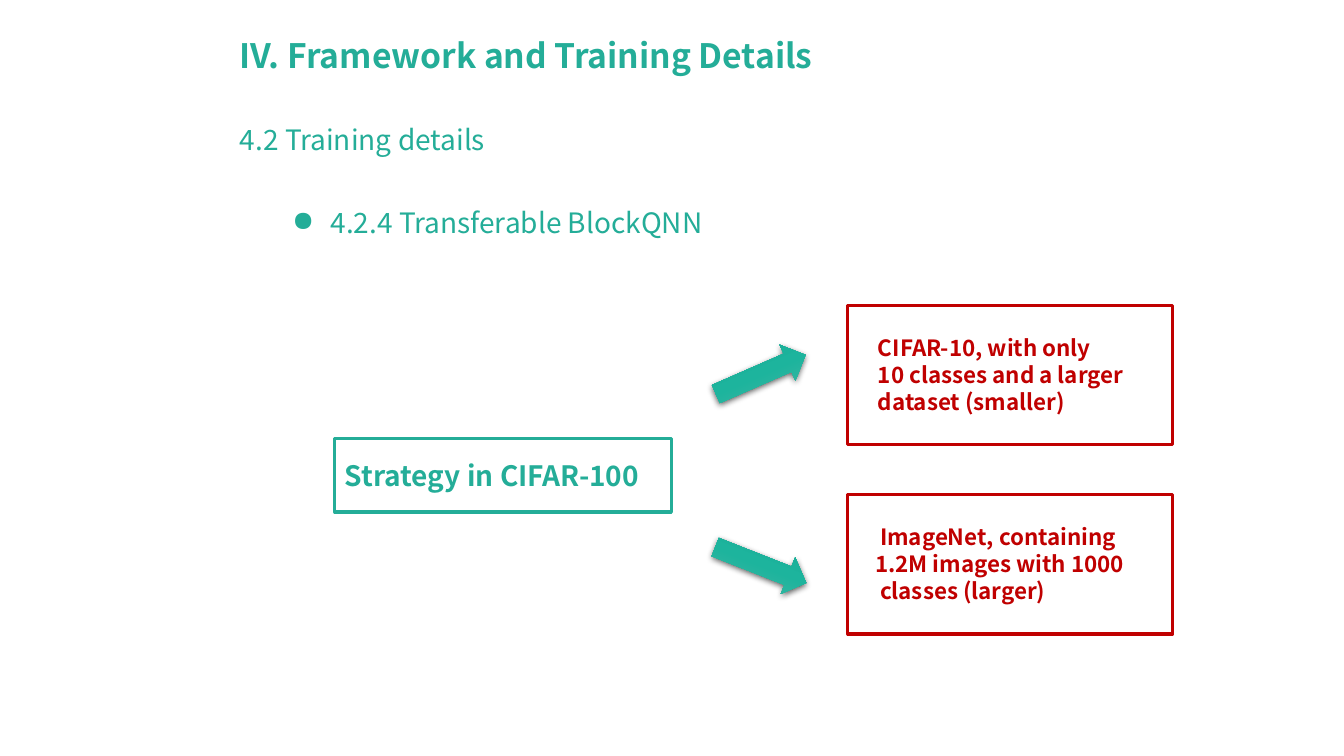
from lxml import etree
from pptx import Presentation
from pptx.dml.color import RGBColor
from pptx.enum.shapes import MSO_SHAPE
from pptx.enum.text import MSO_ANCHOR
from pptx.oxml import parse_xml
from pptx.oxml.ns import nsdecls, qn
from pptx.util import Inches, Pt

RECTANGLE = MSO_SHAPE.RECTANGLE
LEFT_ARROW = MSO_SHAPE.LEFT_ARROW
TOP = MSO_ANCHOR.TOP
MIDDLE = MSO_ANCHOR.MIDDLE

TEAL = RGBColor(0x24, 0xAD, 0x98)
RED = RGBColor(0xC0, 0x00, 0x00)
ARROW_STOPS = (
    (0, RGBColor(0x50, 0xB8, 0xA5)),
    (50, RGBColor(0x1D, 0xB4, 0x9D)),
    (100, RGBColor(0x14, 0xA6, 0x90)),
)
FONT = "Noto Sans CJK SC"
HEADING_HEIGHT = 0.58


def add_text(slide, box, lines, size, color, bold=False, anchor=TOP):
    frame = slide.shapes.add_textbox(*map(Inches, box)).text_frame
    frame.word_wrap = True
    frame.vertical_anchor = anchor
    for index, (text, indent) in enumerate(lines):
        paragraph = frame.paragraphs[0] if index == 0 else frame.add_paragraph()
        if indent:
            paragraph._p.get_or_add_pPr().set("marL", str(Inches(indent)))
        run = paragraph.add_run()
        run.text = text
        run.font.name = FONT
        run.font.size = Pt(size)
        run.font.bold = bold
        run.font.color.rgb = color
    return frame


def add_heading(slide, left, top, width, text, size=20, bold=False, bullet=False):
    box = (left, top, width, HEADING_HEIGHT)
    frame = add_text(slide, box, [(text, 0)], size, TEAL, bold, MIDDLE)
    paragraph = frame.paragraphs[0]
    paragraph.line_spacing = 0.9
    if bullet:
        properties = paragraph._p.get_or_add_pPr()
        properties.set("marL", str(Inches(0.38)))
        properties.set("indent", str(Inches(-0.38)))
        etree.SubElement(properties, qn("a:buChar"), char="●")


def add_headings(slide, left, top, step):
    add_heading(slide, left, top, 6.16, "IV. Framework and Training Details", 24, True)
    add_heading(slide, left, top + step, 6.92, "4.2 Training details")
    add_heading(slide, left + 0.52, top + 2 * step, 4.48,
                "4.2.4 Transferable BlockQNN", bullet=True)


def add_framed_text(slide, box, inset, text_size, lines, size, color):
    left, top, width, height = box
    frame = slide.shapes.add_shape(RECTANGLE, *map(Inches, box))
    frame.shadow.inherit = False
    frame.fill.background()
    frame.line.color.rgb = color
    frame.line.width = Pt(2.25)
    text_width, text_height = text_size
    text_top = top + (height - text_height) / 2
    text_box = (left + inset, text_top, text_width, text_height)
    add_text(slide, text_box, lines, size, color, bold=True)


def add_arrow(slide, box, rotation):
    arrow = slide.shapes.add_shape(LEFT_ARROW, *map(Inches, box))
    arrow.rotation = rotation
    arrow.line.fill.background()
    stops = "".join(
        f'<a:gs pos="{position * 1000}"><a:srgbClr val="{color}"/></a:gs>'
        for position, color in ARROW_STOPS
    )
    gradient = parse_xml(
        f'<a:gradFill {nsdecls("a")} rotWithShape="1"><a:gsLst>{stops}</a:gsLst>'
        '<a:lin ang="5400000" scaled="0"/></a:gradFill>'
    )
    shadow = parse_xml(
        f'<a:effectLst {nsdecls("a")}><a:outerShdw blurRad="{Pt(4.5)}" '
        f'dist="{Pt(1.5)}" dir="5400000" algn="ctr" rotWithShape="0">'
        '<a:srgbClr val="000000"><a:alpha val="63000"/></a:srgbClr>'
        "</a:outerShdw></a:effectLst>"
    )
    properties = arrow._element.spPr
    properties.find(qn("a:prstGeom")).addnext(gradient)
    properties.find(qn("a:ln")).addnext(shadow)


def add_strategy_diagram(slide, left, top):
    add_framed_text(slide, (left, top + 1.32, 3.34, 0.73), 0, (3.33, 0.44),
                    [("Strategy in CIFAR-100", 0)], 20, TEAL)
    targets = (
        (0, 0.2, 2.86, (("CIFAR-10, with only", 0),
                        ("10 classes and a larger dataset (smaller)", 0))),
        (1.88, 0.17, 2.92, (("ImageNet, containing", 0.05),
                            ("1.2M images with 1000", 0),
                            ("classes (larger)", 0.05))),
    )
    for offset, inset, text_width, lines in targets:
        add_framed_text(slide, (left + 5.09, top + offset, 3.22, 1.38), inset,
                        (text_width, 0.91), lines, 16, RED)
    for offset, rotation in ((0.49, 156.4), (2.38, 201.5)):
        add_arrow(slide, (left + 3.74, top + offset, 0.97, 0.39), rotation)


def main():
    presentation = Presentation()
    presentation.slide_width = Inches(13.33)
    presentation.slide_height = Inches(7.5)
    slide = presentation.slides.add_slide(presentation.slide_layouts[6])
    add_headings(slide, 2.28, 0.28, 0.83)
    add_strategy_diagram(slide, 3.32, 3.03)
    presentation.save("out.pptx")


if __name__ == "__main__":
    main()
